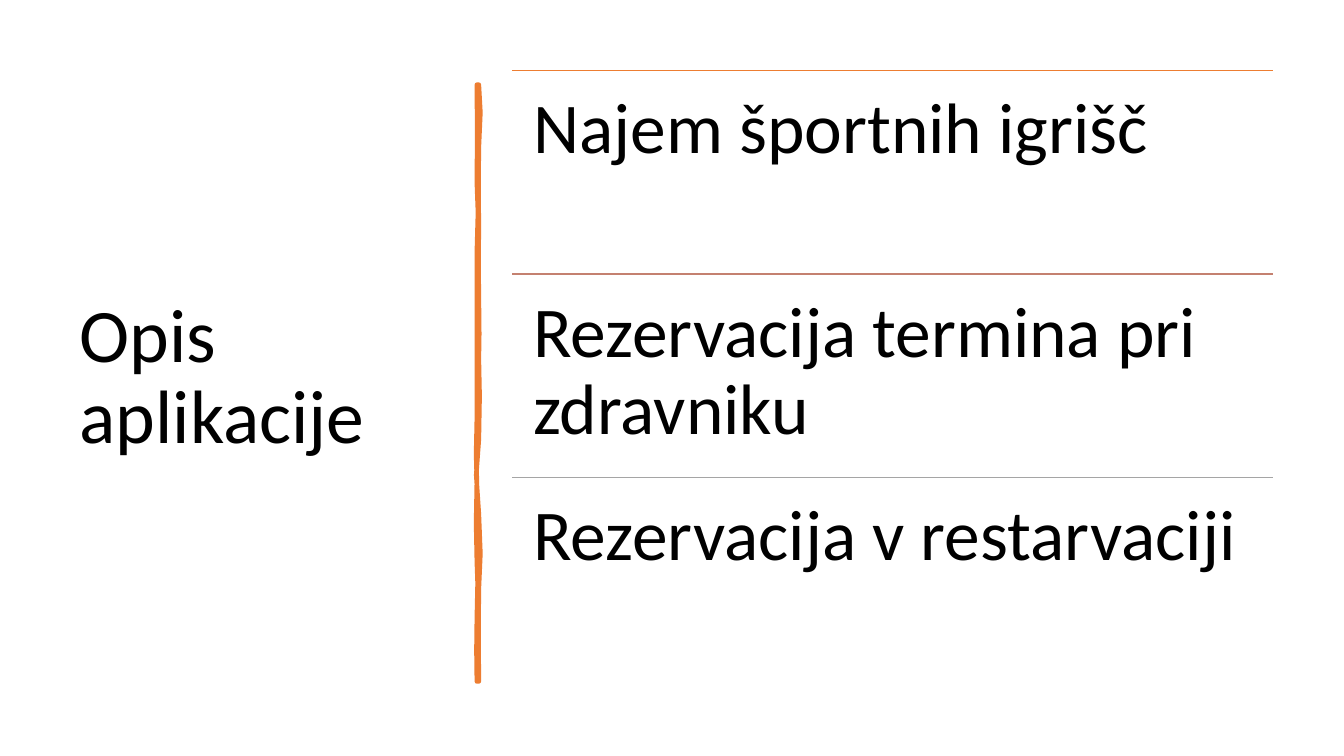
import pptx
import pptx.util
import pptx.dml.color
import pptx.enum.shapes
import pptx.enum.text
import pptx.oxml
from pptx.util import Inches

THEME = {
    "font": "Calibri", "text": "000000", "accent": "ED7D31",
    "rules": ["ED7D31", "C48170", "A5A5A5"],
    "title_size": 54, "item_size": 51, "rule_width": 1, "brush_width": 3.25,
}
ITEMS = ["Najem športnih igrišč", "Rezervacija termina pri zdravniku",
         "Rezervacija v restarvaciji"]
LEFT, TOP, WIDTH, STEP = 5.08, 0.7, 7.55, 2.02

# Brush edge: a start point, then two controls and an end for each curve
BRUSH = [
    (4.75, 0.84), (4.77, 1.02), (4.77, 1.19), (4.75, 1.46),
    (4.73, 1.73), (4.76, 1.95), (4.75, 2.26), (4.74, 2.57), (4.75, 2.62), (4.75, 2.94),
    (4.74, 3.25), (4.77, 3.42), (4.75, 3.56), (4.73, 3.7), (4.79, 4.14), (4.75, 4.36),
    (4.71, 4.57), (4.72, 4.84), (4.75, 5.1), (4.77, 5.36), (4.77, 5.64), (4.75, 5.84),
    (4.73, 6.03), (4.76, 6.5), (4.75, 6.76), (4.74, 6.76), (4.73, 6.76), (4.73, 6.76),
    (4.74, 6.46), (4.71, 6.44), (4.73, 6.13), (4.74, 5.83), (4.74, 5.7), (4.73, 5.57),
    (4.72, 5.44), (4.72, 4.95), (4.73, 4.77), (4.73, 4.59), (4.71, 4.45), (4.73, 4.15),
    (4.74, 3.86), (4.72, 3.73), (4.73, 3.35), (4.74, 2.98), (4.72, 2.81), (4.73, 2.5),
    (4.74, 2.18), (4.75, 2), (4.73, 1.81), (4.7, 1.63), (4.77, 1.04), (4.73, 0.84),
]


def rgb(value):
    return pptx.dml.color.RGBColor.from_string(value)


def add_text(s, text, box, size, frame):
    tf = s.shapes.add_textbox(*map(Inches, box)).text_frame
    for name, value in {"word_wrap": True, **frame}.items():
        setattr(tf, name, value)
    p = tf.paragraphs[0]
    p.line_spacing = 0.9
    r = p.add_run()
    r.text = text
    for name, value in {"name": THEME["font"], "size": pptx.util.Pt(size)}.items():
        setattr(r.font, name, value)
    r.font.color.rgb = rgb(THEME["text"])


prs = pptx.Presentation()
prs.slide_width, prs.slide_height = Inches(13.33), Inches(7.5)
s = prs.slides.add_slide(prs.slide_layouts[6])

# Title
add_text(s, "Opis aplikacije", (0.69, 0.7, 3.74, 6.11), THEME["title_size"],
         {"vertical_anchor": pptx.enum.text.MSO_ANCHOR.MIDDLE})

# Hand-drawn divider: the middle and end of every curve
edge = []
for i in range(0, len(BRUSH) - 1, 3):
    a, b, c, d = BRUSH[i:i + 4]
    middle = [(a[k] + 3 * b[k] + 3 * c[k] + d[k]) / 8 for k in (0, 1)]
    edge += [tuple(map(Inches, middle)), tuple(map(Inches, d))]
builder = s.shapes.build_freeform(*map(Inches, BRUSH[0]))
builder.add_line_segments(edge, close=True)
sp = builder.convert_to_shape()
sp.shadow.inherit = False
sp.fill.solid()
sp.fill.fore_color.rgb = rgb(THEME["accent"])
sp.line.color.rgb = rgb(THEME["accent"])
sp.line.width = pptx.util.Pt(THEME["brush_width"])

# Items, each under its own rule
margins = {f"margin_{side}": Inches(0.21) for side in ("left", "top", "right", "bottom")}
for i, (item, color) in enumerate(zip(ITEMS, THEME["rules"])):
    y = TOP + i * STEP
    rule = s.shapes.add_connector(pptx.enum.shapes.MSO_CONNECTOR.STRAIGHT,
                                  Inches(LEFT), Inches(y), Inches(LEFT + WIDTH), Inches(y))
    rule.line.color.rgb = rgb(color)
    rule.line.width = pptx.util.Pt(THEME["rule_width"])
    rule._element.spPr.append(pptx.oxml.parse_xml(
        '<a:effectLst xmlns:a="http://schemas.openxmlformats.org/drawingml/2006/main"/>'))
    add_text(s, item, (LEFT, y, WIDTH, STEP), THEME["item_size"], margins)

prs.save("out.pptx")
